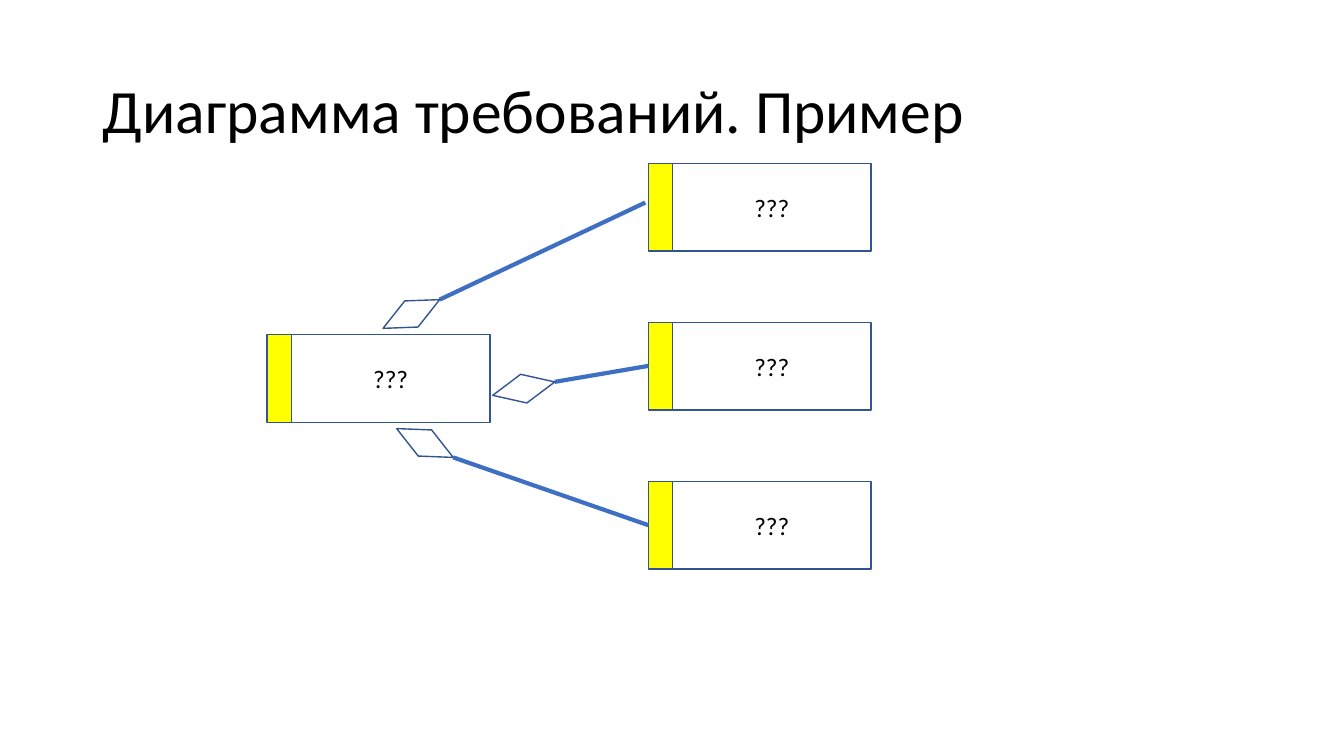
from dataclasses import dataclass
from math import cos, radians, sin

from lxml import etree
from pptx import Presentation
from pptx.dml.color import RGBColor
from pptx.enum.shapes import MSO_CONNECTOR, MSO_SHAPE
from pptx.enum.text import MSO_ANCHOR, MSO_AUTO_SIZE, PP_ALIGN
from pptx.oxml.ns import qn
from pptx.util import Inches, Pt

RECTANGLE, DIAMOND = MSO_SHAPE.RECTANGLE, MSO_SHAPE.DIAMOND
STRAIGHT = MSO_CONNECTOR.STRAIGHT
LEFT, CENTER = PP_ALIGN.LEFT, PP_ALIGN.CENTER
MIDDLE = MSO_ANCHOR.MIDDLE


@dataclass(frozen=True)
class Theme:
    font: str = "Calibri"
    title_size: Pt = Pt(44)
    label_size: Pt = Pt(18)
    outline_width: Pt = Pt(1)
    link_width: Pt = Pt(3)
    text: RGBColor = RGBColor(0, 0, 0)
    outline: RGBColor = RGBColor(0x32, 0x54, 0x91)
    link: RGBColor = RGBColor(0x3F, 0x6F, 0xC3)
    marker: RGBColor = RGBColor(0xFF, 0xFF, 0x00)


theme = Theme()

deck = Presentation()
deck.slide_width, deck.slide_height = Inches(13.33), Inches(7.5)
page = deck.slides.add_slide(deck.slide_layouts[5])

# The slide is a grid of 100 columns by 100 rows
COLUMN, ROW = deck.slide_width / 100, deck.slide_height / 100


def write(shape, text, size, alignment):
    frame = shape.text_frame
    frame.word_wrap = True
    frame.auto_size = MSO_AUTO_SIZE.NONE
    frame.vertical_anchor = MIDDLE
    para = frame.paragraphs[0]
    para.text = text
    para.alignment = alignment
    para.font.name, para.font.size = theme.font, size
    para.font.color.rgb = theme.text
    return para


def add_outlined(parent, kind, left, top, width, height, fill=None):
    shape = parent.shapes.add_shape(kind, *map(round, (left, top, width, height)))
    shape.shadow.inherit = False
    shape.line.color.rgb = theme.outline
    shape.line.width = theme.outline_width
    if fill is None:
        shape.fill.background()
    else:
        shape.fill.solid()
        shape.fill.fore_color.rgb = fill
    return shape


# Title
title = page.shapes.title
title.left, title.top = round(6.9 * COLUMN), round(5.33 * ROW)
title.width, title.height = round(86.25 * COLUMN), round(19.33 * ROW)
heading = write(title, "Диаграмма требований. Пример", theme.title_size, LEFT)
heading.line_spacing = 0.9

# Requirement boxes: one parent and three evenly spaced children
MARKER_WIDTH, BODY_WIDTH = 1.8 * COLUMN, 14.78 * COLUMN
BOX_HEIGHT = 11.6 * ROW
PARENT_COLUMN, CHILD_COLUMN = 19.88, 48.24
boxes = [(PARENT_COLUMN, 44.27)]
boxes += [(CHILD_COLUMN, 21.6 + 21.04 * index) for index in range(3)]

for column, row in boxes:
    left, top = column * COLUMN, row * ROW
    group = page.shapes.add_group_shape()
    body = add_outlined(group, RECTANGLE, left + MARKER_WIDTH, top, BODY_WIDTH, BOX_HEIGHT)
    write(body, "???", theme.label_size, CENTER)
    add_outlined(group, RECTANGLE, left, top, MARKER_WIDTH, BOX_HEIGHT, theme.marker)

# Aggregation links: each line runs from the outer tip of a diamond to a child
DIAMOND_WIDTH, DIAMOND_HEIGHT = 2.18 * COLUMN, 8.4 * ROW
links = [  # diamond centre (column, row), rotation, line end (column, row)
    (30.61, 41.53, 243.1, 48.01, 26.8),
    (38.97, 51.4, 257.8, CHILD_COLUMN, 48.4),
    (31.62, 58.6, 297, CHILD_COLUMN, 69.47),
]
for column, row, rotation, end_column, end_row in links:
    center_x, center_y = column * COLUMN, row * ROW
    angle = radians(rotation)
    tip_x = center_x - sin(angle) * DIAMOND_HEIGHT / 2
    tip_y = center_y + cos(angle) * DIAMOND_HEIGHT / 2
    ends = (tip_x, tip_y, end_column * COLUMN, end_row * ROW)
    link = page.shapes.add_connector(STRAIGHT, *map(round, ends))
    link.line.color.rgb = theme.link
    link.line.width = theme.link_width
    etree.SubElement(link._element.spPr, qn("a:effectLst"))

    diamond = add_outlined(
        page, DIAMOND,
        center_x - DIAMOND_WIDTH / 2, center_y - DIAMOND_HEIGHT / 2,
        DIAMOND_WIDTH, DIAMOND_HEIGHT,
    )
    diamond.rotation = rotation

deck.save("out.pptx")
